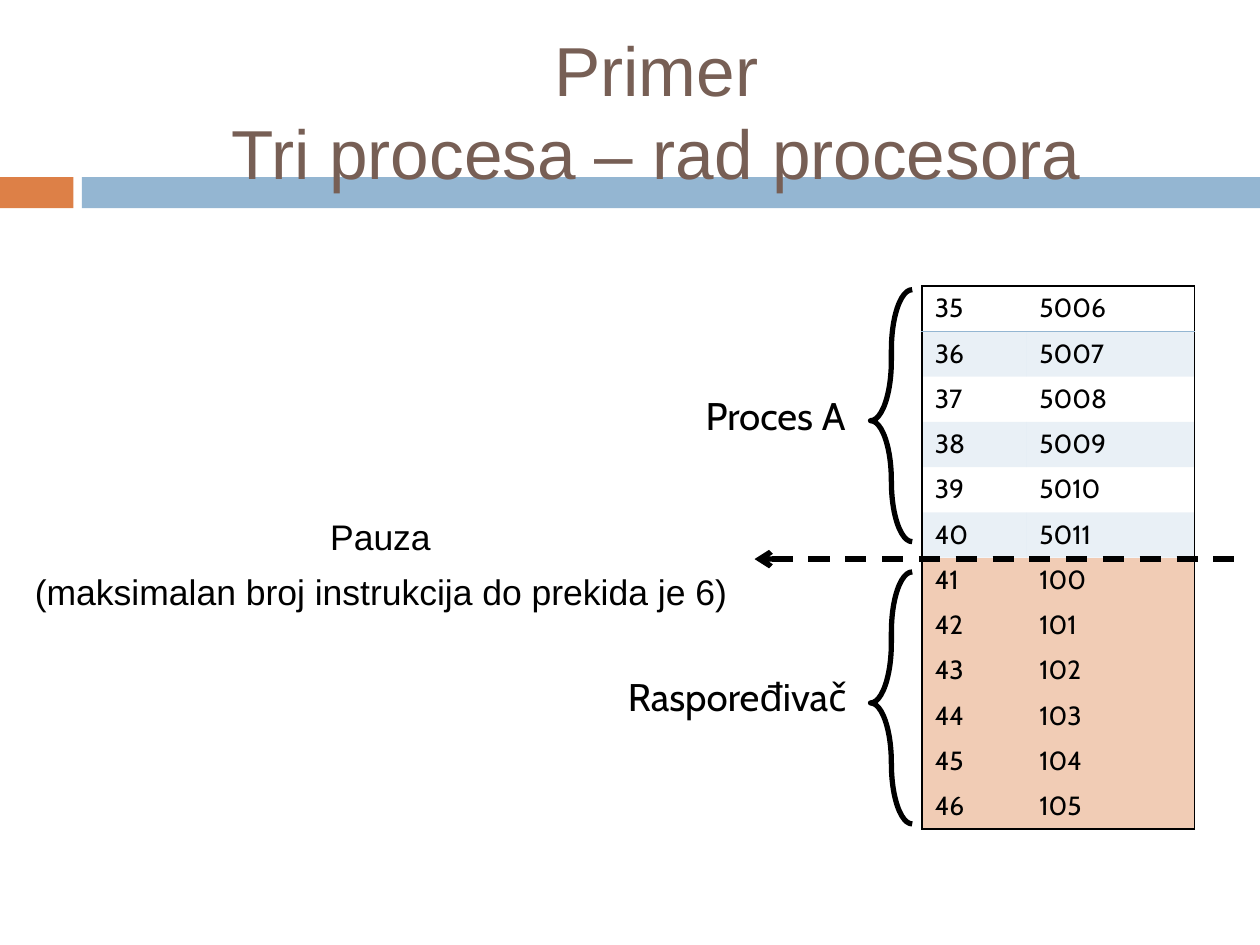
from dataclasses import dataclass

from lxml import etree
from pptx import Presentation
from pptx.dml.color import RGBColor
from pptx.enum.dml import MSO_LINE
from pptx.enum.shapes import MSO_CONNECTOR, MSO_SHAPE
from pptx.enum.text import MSO_ANCHOR, PP_ALIGN
from pptx.oxml.ns import qn
from pptx.util import Cm, Pt

RECT, BRACE = MSO_SHAPE.RECTANGLE, MSO_SHAPE.LEFT_BRACE
LINE, DASH = MSO_CONNECTOR.STRAIGHT, MSO_LINE.DASH
MID, RIGHT = PP_ALIGN.CENTER, PP_ALIGN.RIGHT
TOP, MIDDLE = MSO_ANCHOR.TOP, MSO_ANCHOR.MIDDLE
PLAIN = "{2D5ABB26-0587-4C30-8999-92F81FD0307C}"  # table style without lines


@dataclass(frozen=True)
class Theme:
    ink: str = "000000"
    brown: str = "775F55"
    blue: str = "94B6D2"
    rust: str = "DD8047"
    peach: str = "F1CCB5"
    sans: str = "Arial"
    round: str = "Cabin"
    title: float = 39.6
    label: float = 22
    body: float = 20.3
    cell: float = 15
    gap: float = 7
    thick: float = 3
    thin: float = 1


THEME = Theme()


def rgb(code):
    return RGBColor.from_string(code)


def style(para, face, size, color):
    for run in para.runs:
        run.font.name = face
        run.font.size = Pt(size)
        run.font.color.rgb = rgb(color)


def add_band(slide, left, width, color):
    band = slide.shapes.add_shape(RECT, Cm(left), Cm(3.57), Cm(width), Cm(0.63))
    band.shadow.inherit = False
    band.fill.solid()
    band.fill.fore_color.rgb = rgb(color)
    band.line.fill.background()


def add_text(slide, box, lines, face, size, color=THEME.ink, anchor=TOP):
    """Each line is a pair of wording and alignment."""
    frame = slide.shapes.add_textbox(*map(Cm, box)).text_frame
    frame.word_wrap = True
    frame.vertical_anchor = anchor
    for i, (words, align) in enumerate(lines):
        para = frame.add_paragraph() if i else frame.paragraphs[0]
        para.text = words
        para.alignment = align
        if i:
            para.space_before = Pt(THEME.gap)
        style(para, face, size, color)


def add_brace(slide, top):
    brace = slide.shapes.add_shape(BRACE, Cm(17.55), Cm(top), Cm(0.84), Cm(5.08))
    brace.shadow.inherit = False
    brace.adjustments[0] = 1.45
    brace.adjustments[1] = 0.52
    brace.fill.background()
    brace.line.color.rgb = rgb(THEME.ink)
    brace.line.width = Pt(THEME.thick)


def add_arrow(slide, left, right, y):
    arrow = slide.shapes.add_connector(LINE, Cm(left), Cm(y), Cm(right), Cm(y))
    arrow.line.color.rgb = rgb(THEME.ink)
    arrow.line.width = Pt(THEME.thick)
    arrow.line.dash_style = DASH
    etree.SubElement(arrow.line._get_or_add_ln(), qn("a:headEnd"), type="arrow")
    etree.SubElement(arrow._element.spPr, qn("a:effectLst"))


def add_edge(cell, side, color):
    props = cell._tc.get_or_add_tcPr()
    edge = etree.SubElement(props, qn("a:ln" + side), w=str(Pt(THEME.thin)))
    fill = etree.SubElement(edge, qn("a:solidFill"))
    etree.SubElement(fill, qn("a:srgbClr"), val=color)


def paint(cell, color, alpha=None):
    cell.fill.solid()
    cell.fill.fore_color.rgb = rgb(color)
    if alpha:
        tone = cell._tc.tcPr.find(".//" + qn("a:srgbClr") + "[last()]")
        tone = cell._tc.tcPr.find(qn("a:solidFill")).find(qn("a:srgbClr"))
        etree.SubElement(tone, qn("a:alpha"), val=str(alpha * 1000))


def add_trace(slide, rows, split):
    """Instruction table; rows from split on belong to the dispatcher."""
    last = len(rows) - 1
    frame = slide.shapes.add_table(
        len(rows), 2, Cm(18.59), Cm(5.77), Cm(5.49), Cm(10.95))
    table = frame.table
    table.first_row = table.horz_banding = False
    table._tbl.tblPr.find(qn("a:tableStyleId")).text = PLAIN
    for col, width in zip(table.columns, (2.11, 3.38)):
        col.width = Cm(width)
    for i, row in enumerate(rows):
        for j, value in enumerate(row):
            cell = table.cell(i, j)
            cell.text_frame.text = str(value)
            style(cell.text_frame.paragraphs[0], THEME.round, THEME.cell, THEME.ink)
            # Edges come before the fill
            add_edge(cell, "R" if j else "L", THEME.ink)
            if i == 0:
                add_edge(cell, "T", THEME.ink)
                add_edge(cell, "B", THEME.blue)
            if i == last:
                add_edge(cell, "B", THEME.ink)
            if i >= split:
                paint(cell, THEME.peach)
            elif i % 2:
                paint(cell, THEME.blue, 20)
            else:
                cell.fill.background()


def main():
    deck = Presentation()
    deck.slide_width, deck.slide_height = Cm(25.4), Cm(19.05)
    slide = deck.slides.add_slide(deck.slide_layouts[6])

    # Heading
    add_band(slide, 0, 1.48, THEME.rust)
    add_band(slide, 1.65, 23.75, THEME.blue)
    add_text(slide, (1.9, 0.86, 22.66, 2.74),
             [("Primer\vTri procesa – rad procesora", MID)],
             THEME.sans, THEME.title, THEME.brown, MIDDLE)

    # Steps of process A, then of the dispatcher
    codes = [*range(5006, 5012), *range(100, 106)]
    add_trace(slide, list(enumerate(codes, 35)), 6)

    # Pause between the two
    add_arrow(slide, 15.21, 24.94, 11.27)
    add_text(slide, (0.43, 10.26, 14.48, 2.54),
             [("Pauza", MID),
              ("(maksimalan broj instrukcija do prekida je 6)", RIGHT)],
             THEME.sans, THEME.body)

    # Braces and their labels
    for top, words, box in (
            (5.84, "Proces A", (12.88, 7.77, 5.51, 1.47)),
            (11.53, "Raspoređivač", (11.73, 13.44, 6.27, 1.27))):
        add_brace(slide, top)
        add_text(slide, box, [(words, MID)], THEME.round, THEME.label)

    deck.save("out.pptx")


if __name__ == "__main__":
    main()
